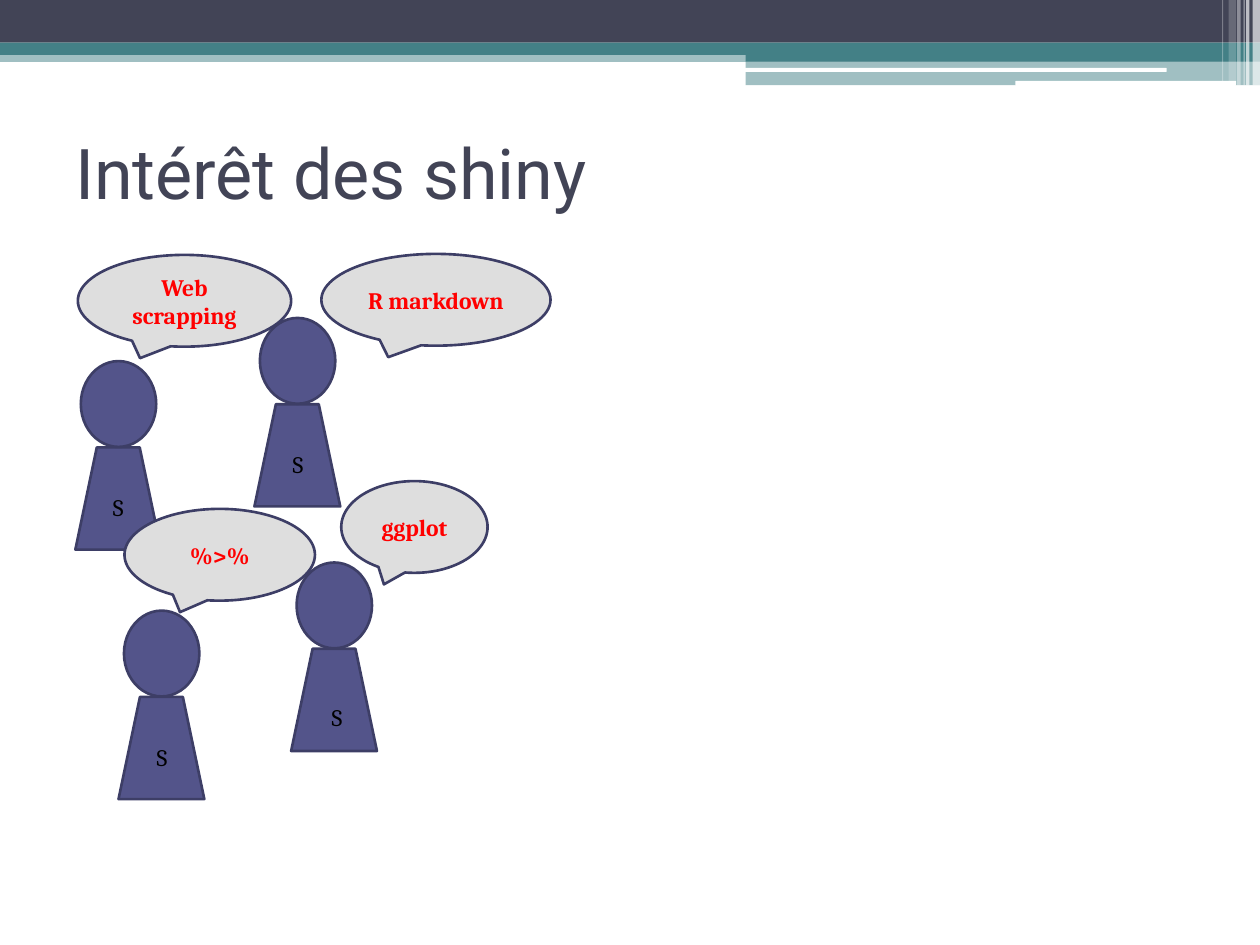
import pptx
import pptx.dml.color
import pptx.enum.shapes
import pptx.enum.text
import pptx.oxml
import pptx.oxml.ns
import pptx.util

Cm = pptx.util.Cm
RGB = pptx.dml.color.RGBColor
MSO = pptx.enum.shapes.MSO_SHAPE
ALIGN = pptx.enum.text.PP_ALIGN
ANCHOR = pptx.enum.text.MSO_ANCHOR

WHITE = RGB(0xFF, 0xFF, 0xFF)
BLACK = RGB(0x00, 0x00, 0x00)
RED = RGB(0xFF, 0x00, 0x00)
SLATE = RGB(0x42, 0x44, 0x56)
TEAL = RGB(0x43, 0x80, 0x86)
INDIGO = RGB(0x53, 0x54, 0x8A)
OUTLINE = RGB(0x3D, 0x3E, 0x66)
GREY = RGB(0xDE, 0xDE, 0xDE)

BANDS = [
    (0, 1.02, 25.4, 0.23, TEAL, 50),
    (0, 0, 25.4, 0.86, SLATE, 100),
    (0, 0.86, 25.4, 0.25, TEAL, 100),
    (15.03, 0.99, 10.37, 0.25, TEAL, 100),
    (15.03, 1.23, 10.37, 0.49, TEAL, 50),
]
RULES = [(15.01, 1.37, 8.51, 0.08), (20.47, 1.63, 4.45, 0.1)]
STRIPES = [
    (25.25, 0.15, 1.73, 65),
    (25.12, 0.07, 1.73, 65),
    (25.07, 0.02, 1.73, 60),
    (24.94, 0.07, 1.73, 40),
    (24.77, 0.15, 1.63, 20),
    (24.64, 0.02, 1.63, 30),
]
PEOPLE = [(1.52, 9.02, "S"), (2.39, 14.05, ""), (5.87, 13.08, ""), (5.13, 8.15, "")]
BUBBLES = [
    (6.88, 9.7, 2.95, "ggplot"),
    (6.48, 5.12, 4.62, "R markdown"),
    (1.57, 5.14, 4.3, "Web scrapping"),
    (2.51, 10.26, 3.84, "%>%"),
]
LABELS = [(5.61, 8.94), (6.4, 14.05), (2.87, 14.86)]


def write(sp, text, size=13.5, font="Cambria", color=BLACK, bold=False,
          align=ALIGN.CENTER, anchor=ANCHOR.MIDDLE, wrap=True):
    """Put one formatted run of text into a shape."""
    tf = sp.text_frame
    tf.word_wrap = wrap
    tf.vertical_anchor = anchor
    p = tf.paragraphs[0]
    p.alignment = align
    r = p.add_run()
    r.text = text
    r.font.size = pptx.util.Pt(size)
    r.font.name = font
    r.font.bold = bold
    r.font.color.rgb = color


def add_box(shapes, kind, x, y, w, h, fill, line=None, opacity=100):
    """Add a filled preset shape, outlined only when a line colour is given."""
    sp = shapes.add_shape(kind, Cm(x), Cm(y), Cm(w), Cm(h))
    sp.shadow.inherit = False
    sp.fill.solid()
    sp.fill.fore_color.rgb = fill
    if line is None:
        sp.line.fill.background()
    else:
        sp.line.color.rgb = line
        sp.line.width = pptx.util.Pt(1.5)
    if opacity < 100:
        clr = sp.fill._xPr.find(".//" + pptx.oxml.ns.qn("a:srgbClr"))
        alpha = pptx.oxml.parse_xml(
            f'<a:alpha {pptx.oxml.ns.nsdecls("a")} val="{opacity * 1000}"/>')
        clr.append(alpha)
    return sp


def add_text(shapes, x, y, w, h, text, **fmt):
    """Add a text box holding one formatted text."""
    write(shapes.add_textbox(Cm(x), Cm(y), Cm(w), Cm(h)), text, **fmt)


def add_header(shapes):
    """Draw the coloured bands and white stripes along the top."""
    for x, y, w, h, color, opacity in BANDS:
        add_box(shapes, MSO.RECTANGLE, x, y, w, h, color, opacity=opacity)
    for x, y, w, h in RULES:
        add_box(shapes, MSO.ROUNDED_RECTANGLE, x, y, w, h, WHITE)
    for x, w, h, opacity in STRIPES:
        add_box(shapes, MSO.RECTANGLE, x, 0, w, h, WHITE, opacity=opacity)


def add_person(shapes, x, y, text):
    """Group a trapezoid body with a round head above it."""
    group = shapes.add_group_shape().shapes
    body = add_box(group, MSO.TRAPEZOID, x, y, 1.73, 2.06, INDIGO, OUTLINE)
    if text:
        write(body, text)
    add_box(group, MSO.OVAL, x + 0.11, y - 1.74, 1.52, 1.73, INDIGO, OUTLINE)


def add_bubble(shapes, x, y, w, text):
    """Add a speech bubble with bold red text."""
    sp = add_box(shapes, MSO.OVAL_CALLOUT, x, y, w, 1.85, GREY, OUTLINE)
    write(sp, text, color=RED, bold=True)


def main():
    """Build the slide and save it."""
    prs = pptx.Presentation()
    prs.slide_width, prs.slide_height = Cm(25.4), Cm(19.05)
    s = prs.slides.add_slide(prs.slide_layouts[6])
    add_header(s.shapes)
    add_text(s.shapes, 1.27, 1.8, 22.86, 3.33, "Intérêt des shiny",
             size=40, font="Roboto", color=SLATE, align=ALIGN.LEFT)
    for person in PEOPLE:
        add_person(s.shapes, *person)
    for bubble in BUBBLES:
        add_bubble(s.shapes, *bubble)
    for x, y in LABELS:
        add_text(s.shapes, x, y, 0.79, 0.84, "S", anchor=ANCHOR.TOP, wrap=False)
    prs.save("out.pptx")


if __name__ == "__main__":
    main()
